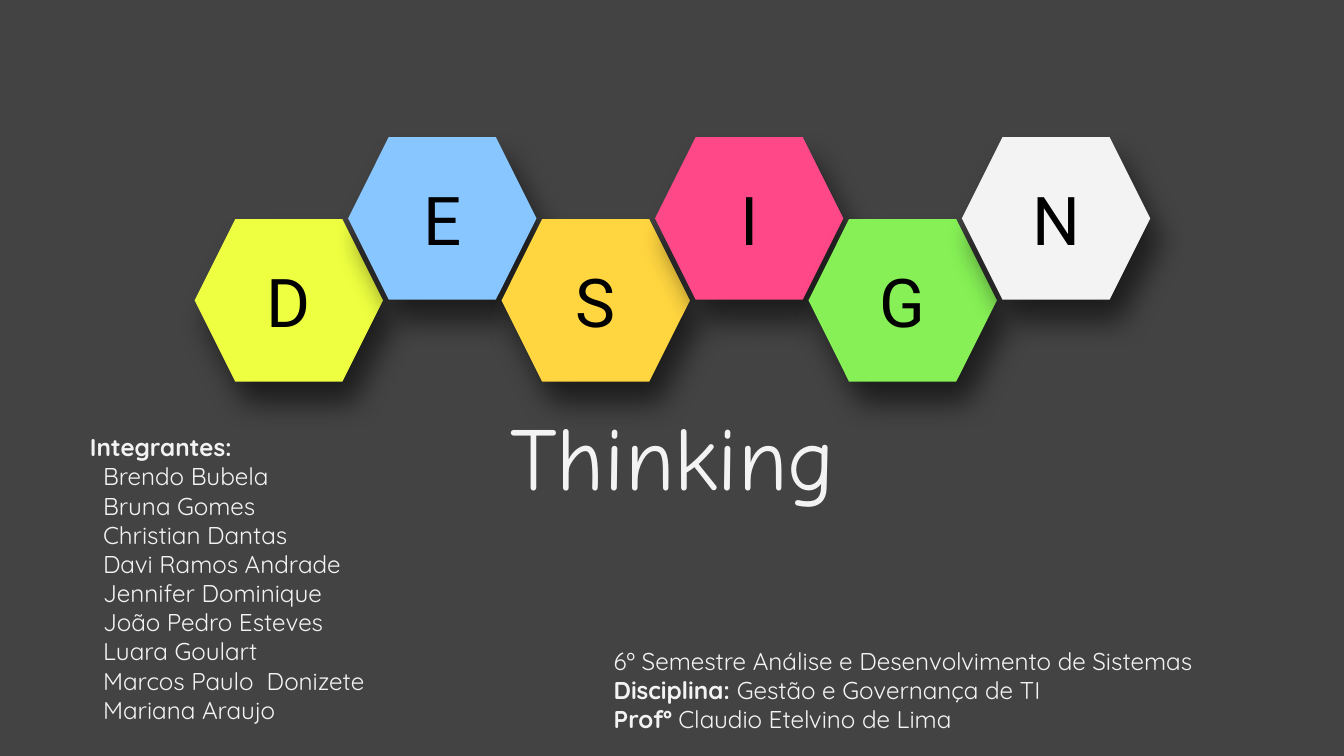
from lxml import etree
from pptx import Presentation
from pptx.dml.color import RGBColor
from pptx.enum import shapes, text
from pptx.oxml import ns
from pptx import util as u

HUES = {
    "back": "434343", "pale": "F3F3F3", "ink": "000000",
    "lime": "EEFF41", "blue": "88C6FF", "gold": "FFD540",
    "pink": "FF4887", "green": "86F050",
}
HUES["green"] = "86F056"


def write(frame, lines, font="Quicksand", size=13, hue="pale",
          align=text.PP_ALIGN.LEFT, anchor=text.MSO_ANCHOR.TOP, indent=0):
    frame.word_wrap = True
    frame.vertical_anchor = anchor
    for side in ("left", "right", "top", "bottom"):
        setattr(frame, f"margin_{side}", u.Cm(0.25))
    for i, runs in enumerate(lines):
        para = frame.add_paragraph() if i else frame.paragraphs[0]
        para.alignment = align
        if i and indent:
            para._p.get_or_add_pPr().set("marL", str(u.Cm(indent)))
        for words, bold in runs:
            run = para.add_run()
            run.text = words
            run.font.name = font
            run.font.size = u.Pt(size)
            run.font.bold = bold
            run.font.color.rgb = RGBColor.from_string(HUES[hue])


class Deck:
    def __init__(self, wide, high):
        self.show = Presentation()
        self.show.slide_width = u.Cm(wide)
        self.show.slide_height = u.Cm(high)
        self.slide = self.show.slides.add_slide(self.show.slide_layouts[6])
        fill = self.slide.background.fill
        fill.solid()
        fill.fore_color.rgb = RGBColor.from_string(HUES["back"])

    def label(self, box, lines, **style):
        shape = self.slide.shapes.add_textbox(*map(u.Cm, box))
        write(shape.text_frame, lines, **style)

    def tile(self, box, letter, hue):
        shape = self.slide.shapes.add_shape(
            shapes.MSO_SHAPE.HEXAGON, *map(u.Cm, box))
        shape.adjustments[0] = 0.25
        shape.fill.solid()
        shape.fill.fore_color.rgb = RGBColor.from_string(HUES[hue])
        shape.line.fill.background()
        self.shade(shape)
        write(shape.text_frame, [[(letter, False)]], font="Roboto", size=36,
              hue="ink", align=text.PP_ALIGN.CENTER,
              anchor=text.MSO_ANCHOR.MIDDLE)

    def shade(self, shape):
        shape.shadow.inherit = False
        glow = shape._element.spPr.find(ns.qn("a:effectLst"))
        drop = etree.SubElement(
            glow, ns.qn("a:outerShdw"), blurRad=str(u.Pt(15.8)),
            dist=str(u.Pt(12.8)), dir=str(64 * 60000),
            algn="bl", rotWithShape="0")
        tint = etree.SubElement(drop, ns.qn("a:srgbClr"), val=HUES["ink"])
        etree.SubElement(tint, ns.qn("a:alpha"), val="56000")


def main():
    deck = Deck(25.4, 14.28)

    names = ["Brendo Bubela", "Bruna Gomes", "Christian Dantas",
             "Davi Ramos Andrade", "Jennifer Dominique",
             "João Pedro Esteves", "Luara Goulart",
             "Marcos Paulo  Donizete", "Mariana Araujo"]
    team = [[("Integrantes:", True)]] + [[(name, False)] for name in names]
    deck.label((1.45, 7.92, 8.03, 6.17), team, indent=0.25)

    deck.label((7.62, 7.85, 10.19, 1.47), [[("Thinking", False)]],
               font="Comic Neue", size=48, align=text.PP_ALIGN.CENTER,
               anchor=text.MSO_ANCHOR.MIDDLE)

    hues = ["lime", "blue", "gold", "pink", "green", "pale"]
    for i, (letter, hue) in enumerate(zip("DESIGN", hues)):
        top = 2.59 if i % 2 else 4.14
        deck.tile((3.68 + 2.9 * i, top, 3.56, 3.07), letter, hue)

    deck.label((11.35, 11.95, 17.17, 2.78), [
        [("6º Semestre Análise e Desenvolvimento de Sistemas", False)],
        [("Disciplina: ", True), ("Gestão e Governança de TI", False)],
        [("Profº ", True), ("Claudio Etelvino de Lima", False)],
    ])
    deck.show.save("out.pptx")


if __name__ == "__main__":
    main()
